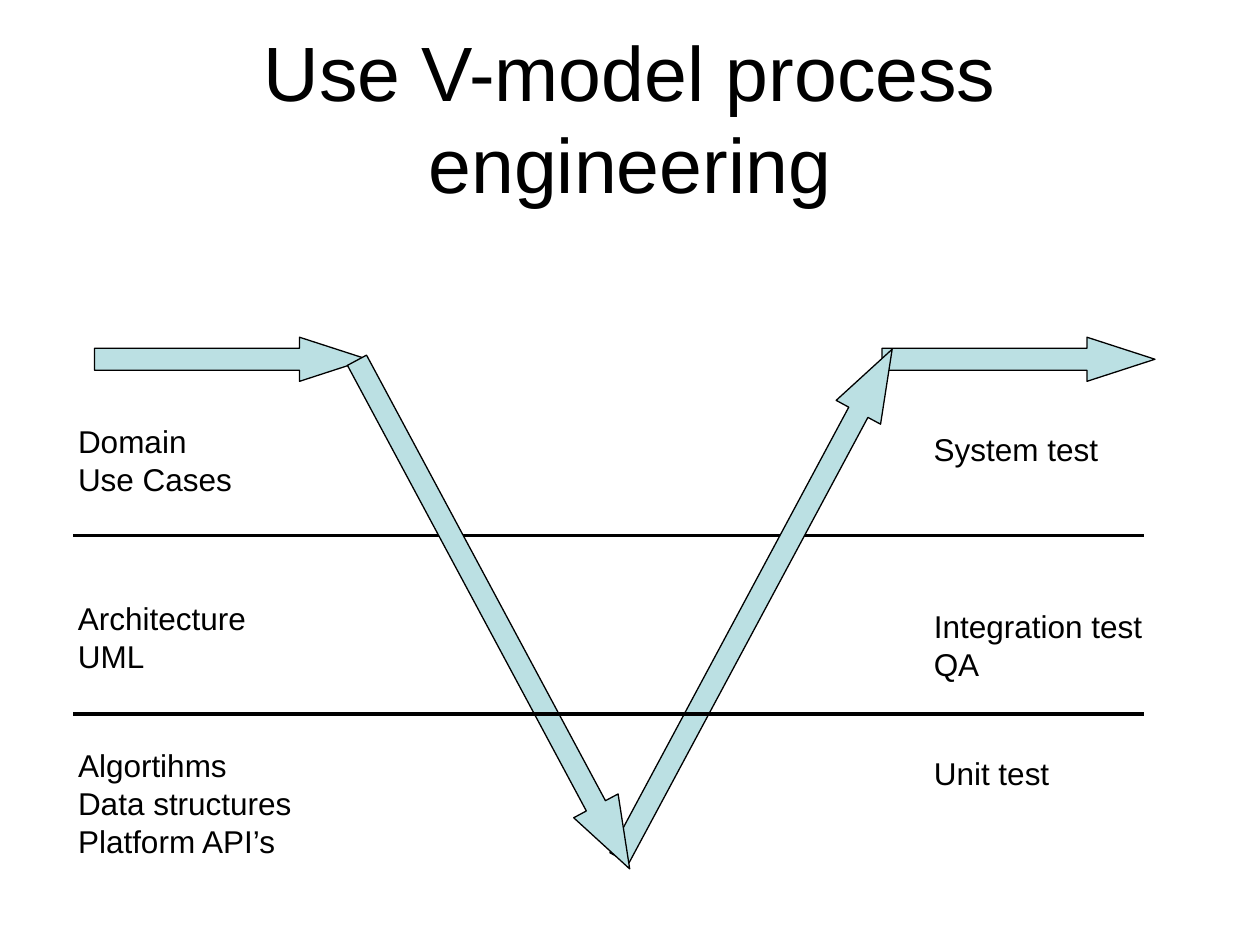
from typing import NamedTuple

from pptx import Presentation
from pptx.dml.color import RGBColor
from pptx.enum.shapes import MSO_CONNECTOR as Connector, MSO_SHAPE as Shape
from pptx.enum.text import MSO_ANCHOR as Anchor, MSO_AUTO_SIZE as AutoSize, PP_ALIGN as Align
from pptx.oxml.ns import qn
from pptx.slide import Slide
from pptx.util import Pt
from lxml import etree

BLACK = "000000"
PALE_TEAL = "BBE0E3"
LEFT_COLUMN, RIGHT_COLUMN = 37.5, 526.5
LINE_HEIGHT, PADDING = 21.6, 7.2


class Arrow(NamedTuple):
    left: float
    top: float
    width: float
    height: float
    rotation: float
    shaft: float
    head: float


class Label(NamedTuple):
    left: float
    top: float
    width: float
    lines: tuple[str, ...]


FLAT_ARROWS = [Arrow(left, 192.7, 156, 25.2, 0, 0.5, 1.54) for left in (54, 504)]
V_ARROWS = [
    Arrow(left, top, 329.8, 28.8, rotation, 0.43, 1.42)
    for left, top, rotation in ((267, 330.5, 298.2), (117, 336.8, 61.8))
]
LABELS = [
    Label(LEFT_COLUMN, 237.6, 106, ("Domain", "Use Cases")),
    Label(LEFT_COLUMN, 338.8, 114, ("Architecture", "UML")),
    Label(LEFT_COLUMN, 422.8, 140, ("Algortihms", "Data structures", "Platform API’s")),
    Label(RIGHT_COLUMN, 427.3, 84, ("Unit test",)),
    Label(RIGHT_COLUMN, 343.4, 137, ("Integration test", "QA")),
    Label(RIGHT_COLUMN, 242.2, 114, ("System test",)),
]


def color(value: str) -> RGBColor:
    return RGBColor.from_string(value)


def apply(target: object, formats: dict) -> None:
    for name, value in formats.items():
        setattr(target, name, value)


def draw_divider(slide: Slide, y: float) -> None:
    line = slide.shapes.add_connector(Connector.STRAIGHT, Pt(42), Pt(y), Pt(654), Pt(y))
    line.line.color.rgb = color(BLACK)
    line.line.width = Pt(2.25)
    etree.SubElement(line._element.spPr, qn("a:effectLst"))


def draw_arrow(slide: Slide, arrow: Arrow) -> None:
    shape = slide.shapes.add_shape(Shape.RIGHT_ARROW, *map(Pt, arrow[:4]))
    shape.rotation = arrow.rotation
    shape.adjustments[0] = arrow.shaft
    shape.adjustments[1] = arrow.head
    shape.shadow.inherit = False
    shape.fill.solid()
    shape.fill.fore_color.rgb = color(PALE_TEAL)
    shape.line.color.rgb = color(BLACK)
    shape.line.width = Pt(0.75)


def draw_text(slide: Slide, box: tuple[float, ...], lines: tuple[str, ...], size: float,
              frame_format: dict, align: Align) -> None:
    frame = slide.shapes.add_textbox(*map(Pt, box)).text_frame
    apply(frame, frame_format)
    frame.text = "\n".join(lines)
    for paragraph in frame.paragraphs:
        paragraph.alignment = align
        apply(paragraph.runs[0].font, {"name": "Arial", "size": Pt(size)})
        paragraph.runs[0].font.color.rgb = color(BLACK)


def draw_label(slide: Slide, label: Label) -> None:
    height = len(label.lines) * LINE_HEIGHT + PADDING
    draw_text(slide, (label.left, label.top, label.width, height), label.lines, 18,
              {"word_wrap": True, "auto_size": AutoSize.SHAPE_TO_FIT_TEXT}, Align.LEFT)


def main() -> None:
    presentation = Presentation()
    apply(presentation, {"slide_width": Pt(720), "slide_height": Pt(540)})
    slide = presentation.slides.add_slide(presentation.slide_layouts[6])

    draw_divider(slide, 306)
    draw_text(slide, (36, 21.6, 648, 90), ("Use V-model process engineering",), 44,
              {"word_wrap": True, "vertical_anchor": Anchor.MIDDLE}, Align.CENTER)
    for arrow in FLAT_ARROWS + V_ARROWS:
        draw_arrow(slide, arrow)
    draw_divider(slide, 408.2)
    for label in LABELS:
        draw_label(slide, label)

    presentation.save("out.pptx")


if __name__ == "__main__":
    main()
